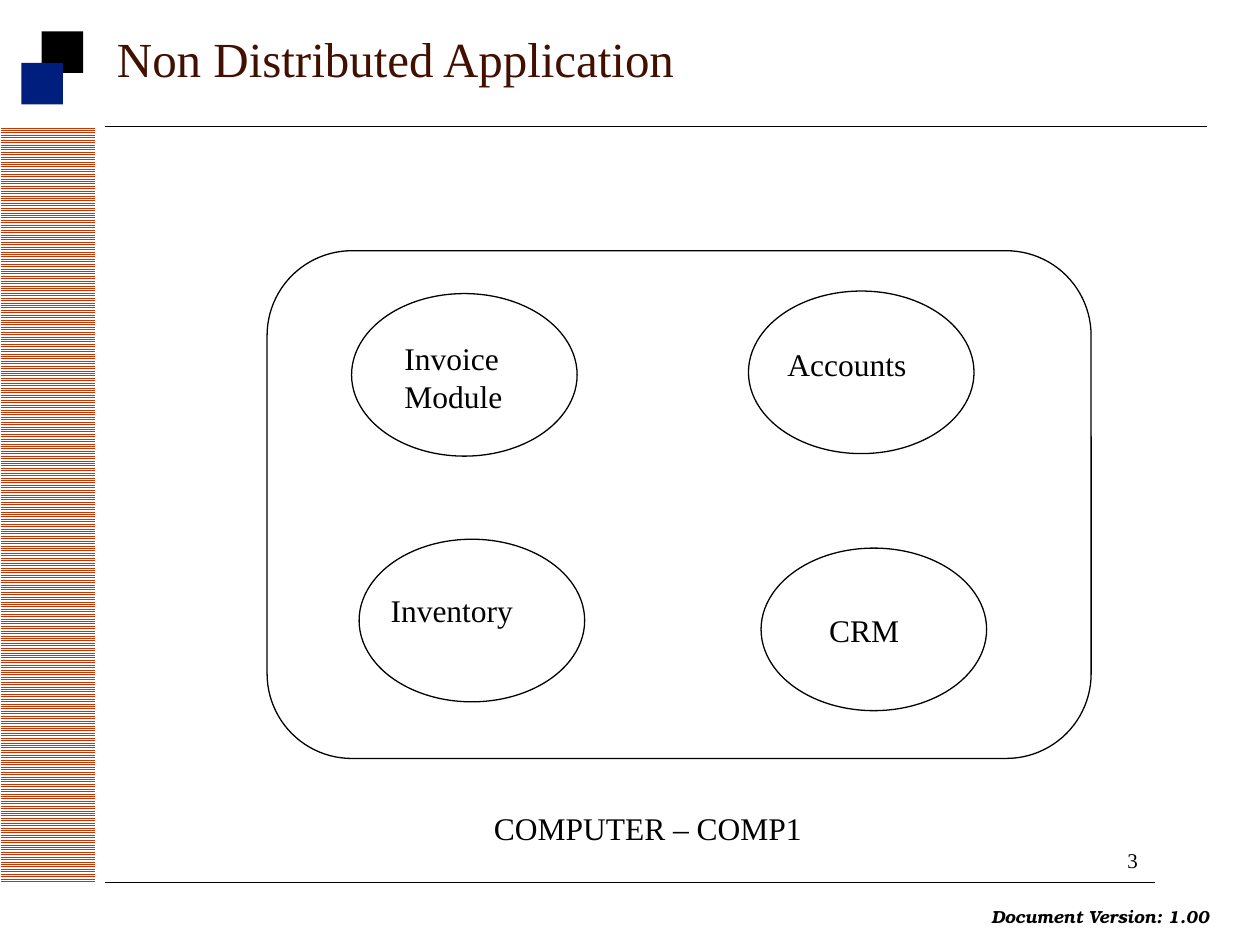
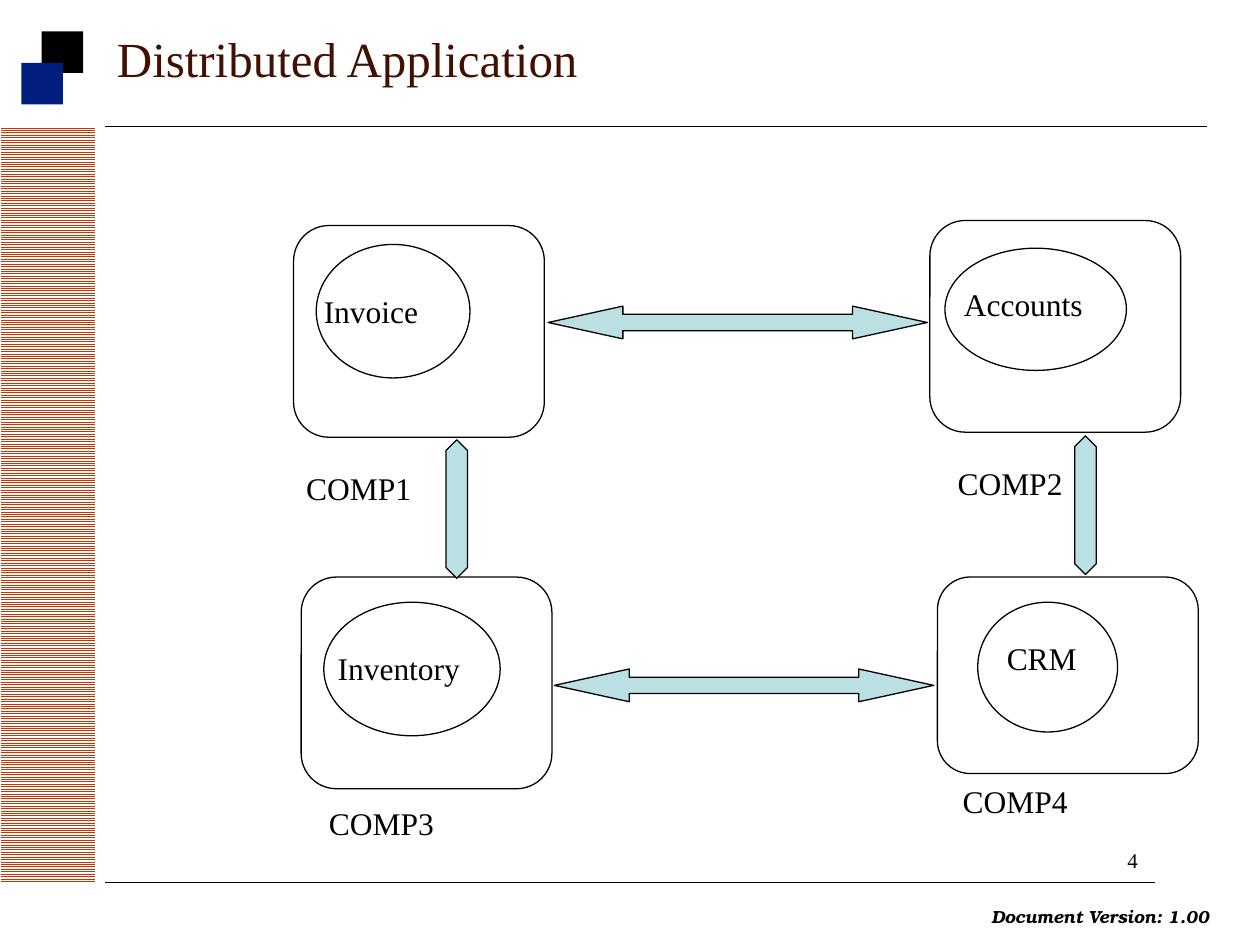
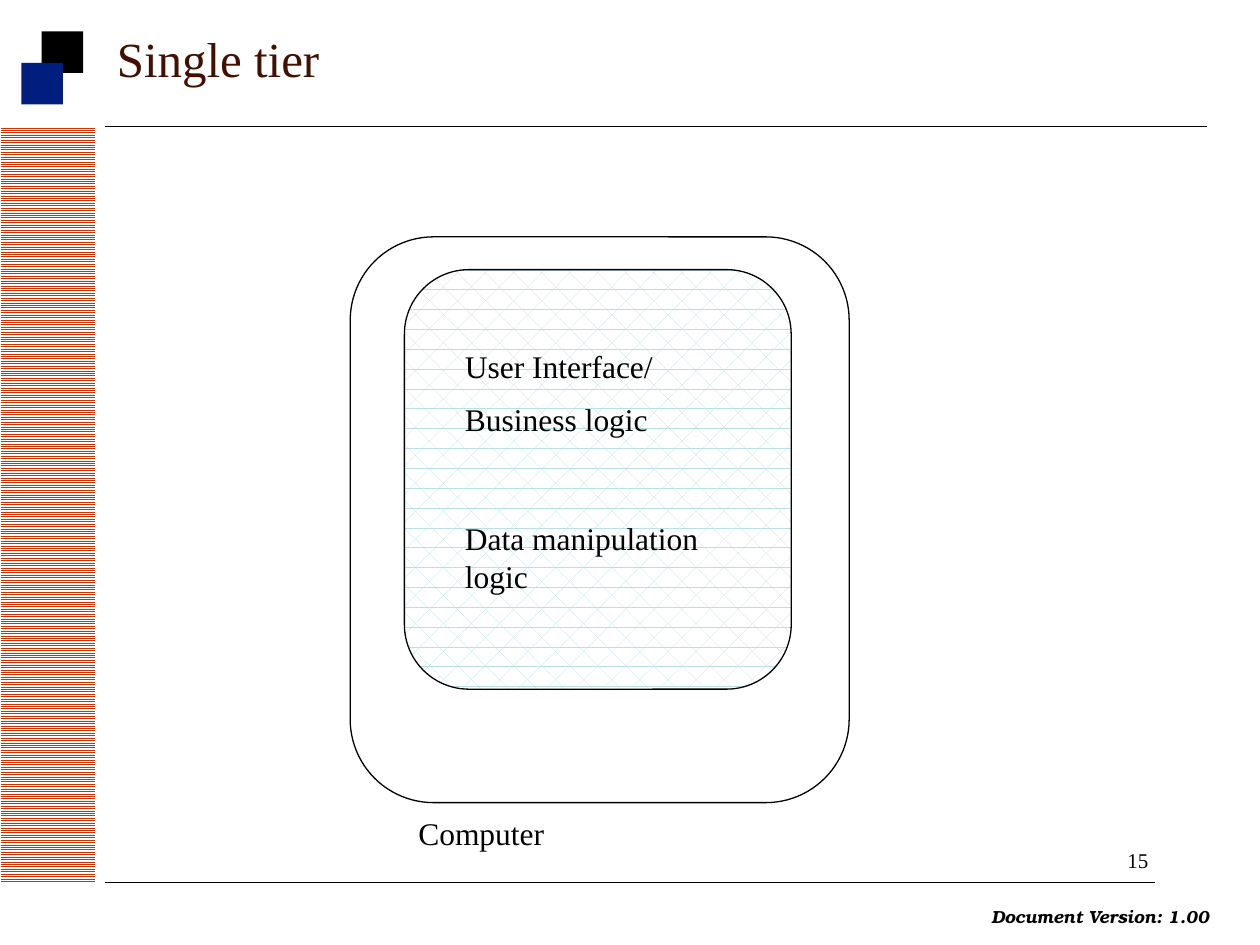
"""Builds three slides on application architecture: modules, computers and tiers."""
from lxml import etree
from pptx import Presentation
from pptx.dml.color import RGBColor
from pptx.enum.dml import MSO_PATTERN
from pptx.enum.shapes import MSO_CONNECTOR, MSO_SHAPE
from pptx.enum.text import MSO_ANCHOR, MSO_AUTO_SIZE
from pptx.oxml.ns import qn
from pptx.util import Inches, Pt

RECT, ROUND, OVAL = MSO_SHAPE.RECTANGLE, MSO_SHAPE.ROUNDED_RECTANGLE, MSO_SHAPE.OVAL
ACROSS, UPDOWN = MSO_SHAPE.LEFT_RIGHT_ARROW, MSO_SHAPE.UP_DOWN_ARROW
STRAIGHT = MSO_CONNECTOR.STRAIGHT
STRIPES, DIVOT = MSO_PATTERN.LIGHT_HORIZONTAL, MSO_PATTERN.DIVOT
MIDDLE, GROW = MSO_ANCHOR.MIDDLE, MSO_AUTO_SIZE.SHAPE_TO_FIT_TEXT

BLACK, WHITE, NAVY, BROWN, RUST, AQUA = "000000", "FFFFFF", "001E7E", "421000", "CC3300", "BBE0E3"
BODY_FONT, FOOTER_FONT = "Times New Roman", "TeX Gyre Bonum"
VERSION = "Document Version: 1.00"
ADJUSTMENTS = {ROUND: [0.167], ACROSS: [0.5, 2.284], UPDOWN: [0.5, 1.317]}
MODULE = (1.79, 1.29)
COMPUTER = (1.99, 1.68)
LINK, DROP = (3.01, 0.26), (0.17, 1.1)

SLIDES = [
    {
        "title": "Non Distributed Application",
        "number": 3,
        "shapes": [
            (ROUND, (2.12, 1.99, 6.54, 4.03), None),
            (OVAL, (2.79, 2.33, *MODULE), None),
            (OVAL, (5.94, 2.31, *MODULE), None),
            (OVAL, (2.85, 4.28, *MODULE), None),
            (OVAL, (6.04, 4.35, *MODULE), None),
        ],
        "labels": [
            (["Invoice Module"], (3.21, 2.69, 1.12, 0.6)),
            (["Accounts"], (6.25, 2.74, 1.36, 0.3)),
            (["Inventory"], (3.1, 4.69, 1.32, 0.3)),
            (["CRM"], (6.58, 4.85, 0.69, 0.3)),
            (["COMPUTER – COMP1"], (3.92, 6.42, 2.97, 0.3)),
        ],
    },
    {
        "title": "Distributed Application",
        "number": 4,
        "shapes": [
            (ROUND, (2.33, 1.79, *COMPUTER), None),
            (ROUND, (2.39, 4.58, *COMPUTER), None),
            (ROUND, (7.38, 1.75, *COMPUTER), None),
            (ROUND, (7.44, 4.58, 2.07, 1.56), None),
            (OVAL, (2.51, 1.94, 1.22, 1.06), None),
            (OVAL, (7.5, 1.97, 1.44, 0.97), None),
            (OVAL, (2.57, 4.78, 1.4, 1.06), None),
            (OVAL, (7.76, 4.78, 1.11, 1.03), None),
            (ACROSS, (4.35, 2.43, *LINK), AQUA),
            (UPDOWN, (3.54, 3.49, *DROP), AQUA),
            (ACROSS, (4.4, 5.31, *LINK), AQUA),
            (UPDOWN, (8.53, 3.46, *DROP), AQUA),
        ],
        "labels": [
            (["Invoice"], (2.57, 2.32, 1.67, 0.3)),
            (["Inventory"], (2.68, 5.15, 1.5, 0.3)),
            (["Accounts"], (7.65, 2.26, 1.85, 0.3)),
            (["CRM"], (7.99, 5.07, 1.85, 0.3)),
            (["COMP1"], (2.43, 3.72, 1.79, 0.3)),
            (["COMP2"], (7.6, 3.68, 1.6, 0.3)),
            (["COMP3"], (2.61, 6.38, 1.61, 0.3)),
            (["COMP4"], (7.64, 6.21, 1.99, 0.3)),
        ],
    },
    {
        "title": "Single tier",
        "number": 15,
        "shapes": [
            (ROUND, (2.78, 1.88, 3.96, 4.49), None),
            (ROUND, (3.21, 2.14, 3.07, 3.33), (DIVOT, AQUA)),
        ],
        "labels": [
            (["User Interface/", "Business logic"], (3.69, 2.75, 2.11, 0.75)),
            (["Data manipulation logic"], (3.69, 4.12, 2.1, 0.9)),
            (["Computer"], (3.32, 6.46, 3.03, 0.3)),
        ],
    },
]


def rgb(value):
    return RGBColor.from_string(value)


def add_figure(s, kind, box, fill, outlined=True):
    sp = s.shapes.add_shape(kind, *map(Inches, box))
    sp.shadow.inherit = False
    for i, value in enumerate(ADJUSTMENTS.get(kind, [])):
        sp.adjustments[i] = value
    if fill is None:
        sp.fill.background()
    elif isinstance(fill, tuple):
        sp.fill.patterned()
        sp.fill.pattern, color = fill
        sp.fill.fore_color.rgb = rgb(color)
        sp.fill.back_color.rgb = rgb(WHITE)
    else:
        sp.fill.solid()
        sp.fill.fore_color.rgb = rgb(fill)
    if outlined:
        sp.line.color.rgb = rgb(BLACK)
        sp.line.width = Pt(0.75)
    else:
        sp.line.fill.background()
    return sp


def add_rule(s, y, right):
    line = s.shapes.add_connector(STRAIGHT, Inches(0.83), Inches(y), Inches(right), Inches(y))
    line.line.color.rgb = rgb(BLACK)
    line.line.width = Pt(0.25)
    etree.SubElement(line._element.spPr, qn("a:effectLst"))


def add_text(s, lines, box, size, color=BLACK, font=BODY_FONT, strong=False, wrap=True):
    tf = s.shapes.add_textbox(*map(Inches, box)).text_frame
    tf.word_wrap = wrap
    for i, text in enumerate(lines):
        p = tf.add_paragraph() if i else tf.paragraphs[0]
        if i:
            p.space_before = Pt(size / 2)
        r = p.add_run()
        r.text = text
        r.font.size = Pt(size)
        r.font.name = font
        r.font.bold = r.font.italic = strong
        r.font.color.rgb = rgb(color)
    return tf


def add_label(s, lines, box):
    tf = add_text(s, lines, box, 18)
    tf.margin_left = tf.margin_top = tf.margin_right = tf.margin_bottom = 0
    tf.auto_size = GROW


def add_frame(s, title, number):
    band = add_figure(s, RECT, (-2.62, 3.62, 6, 0.75), (STRIPES, RUST), outlined=False)
    band.rotation = 270
    add_rule(s, 1, 9.58)
    add_figure(s, RECT, (0.33, 0.25, 0.33, 0.33), BLACK, outlined=False)
    add_figure(s, RECT, (0.17, 0.5, 0.33, 0.33), NAVY, outlined=False)
    add_text(s, [VERSION], (7.77, 7.14, 1.94, 0.27), 10, font=FOOTER_FONT, strong=True, wrap=False)
    add_rule(s, 7, 9.17)
    add_text(s, [str(number)], (8.85, 6.68, 0.4, 0.3), 12)
    add_text(s, [title], (0.83, 0, 9, 0.92), 28, BROWN).vertical_anchor = MIDDLE


def main():
    prs = Presentation()
    prs.slide_width, prs.slide_height = Inches(10), Inches(7.5)
    for content in SLIDES:
        s = prs.slides.add_slide(prs.slide_layouts[6])
        add_frame(s, content["title"], content["number"])
        for kind, box, fill in content["shapes"]:
            add_figure(s, kind, box, fill)
        for lines, box in content["labels"]:
            add_label(s, lines, box)
    prs.save("out.pptx")


if __name__ == "__main__":
    main()
